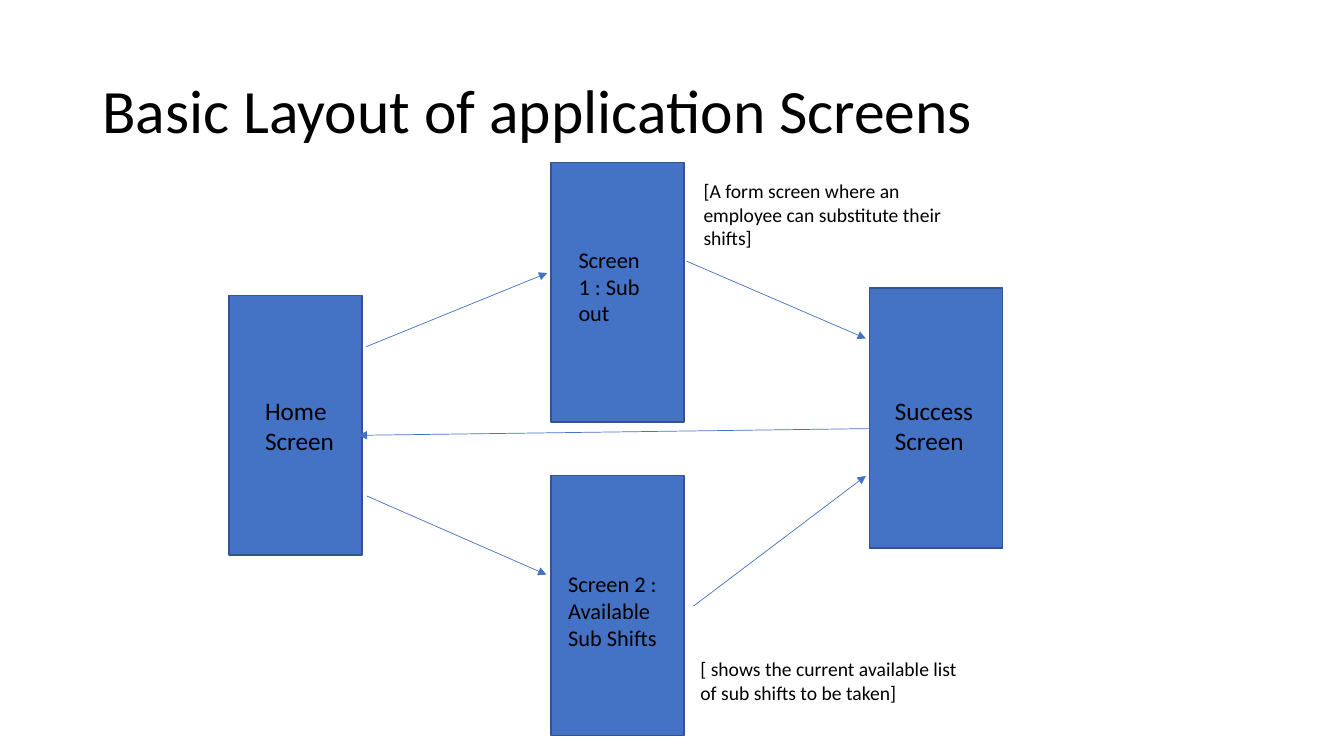
from lxml import etree
from pptx import Presentation
from pptx.dml.color import RGBColor
from pptx.enum.shapes import MSO_CONNECTOR, MSO_SHAPE
from pptx.enum.text import MSO_ANCHOR, MSO_AUTO_SIZE, PP_ALIGN
from pptx.oxml.ns import qn
from pptx.util import Cm, Pt

RECT = MSO_SHAPE.RECTANGLE
LINE = MSO_CONNECTOR.STRAIGHT
LEFT = PP_ALIGN.LEFT
MIDDLE, TOP = MSO_ANCHOR.MIDDLE, MSO_ANCHOR.TOP
GROW, FIXED = MSO_AUTO_SIZE.SHAPE_TO_FIT_TEXT, MSO_AUTO_SIZE.NONE

COLORS = {"text": "000000", "fill": "4472C4", "edge": "325491"}
FONT = "Calibri"
BOX = (3.35, 6.55)

# Box corner, label frame, label, label size
SCREENS = [
    ((5.77, 7.44), (6.43, 9.83, 2.59, 1.8), "Home Screen", 18),
    ((13.89, 11.99), (14.07, 14.25, 2.97, 2.31),
     "Screen 2 : Available Sub Shifts", 16),
    ((21.92, 7.26), (22.3, 9.83, 2.59, 1.8), "Success Screen", 18),
    ((13.89, 4.09), (14.33, 6.07, 2.69, 1.63), "Screen 1 : Sub out", 16),
]
ARROWS = [
    (9.22, 8.74, 13.79, 6.88),
    (17.3, 6.58, 21.82, 8.53),
    (21.92, 10.8, 9.04, 10.97),
    (9.25, 12.5, 13.77, 14.48),
    (17.48, 15.27, 21.82, 11.99),
]
NOTES = [
    ((17.4, 16.43, 7.01, 1.45),
     "[ shows the current available list of sub shifts to be taken]"),
    ((17.48, 4.39, 7.44, 2.06),
     "[A form screen where an employee can substitute their shifts]"),
]


def put(obj, values):
    """Set each attribute of obj named in values."""
    for name, value in values.items():
        setattr(obj, name, value)


def color(name):
    return RGBColor.from_string(COLORS[name])


class Deck:
    def __init__(self, width, height):
        self.prs = Presentation()
        put(self.prs, {"slide_width": Cm(width), "slide_height": Cm(height)})
        self.slide = self.prs.slides.add_slide(self.prs.slide_layouts[5])
        self.shapes = self.slide.shapes

    def text(self, shape, words, size, frame, para):
        """Fill a shape with one paragraph, formatted by two dicts."""
        put(shape.text_frame, {"word_wrap": True, **frame})
        line = shape.text_frame.paragraphs[0]
        put(line, {"alignment": LEFT, **para})
        run = line.add_run()
        run.text = words
        put(run.font, {"name": FONT, "size": Pt(size)})
        run.font.color.rgb = color("text")

    def title(self, words, left, top, width, height):
        shape = self.shapes.title
        put(shape, {"left": Cm(left), "top": Cm(top),
                    "width": Cm(width), "height": Cm(height)})
        self.text(shape, words, 44,
                  {"vertical_anchor": MIDDLE, "auto_size": FIXED},
                  {"line_spacing": 0.9})

    def box(self, left, top):
        shape = self.shapes.add_shape(RECT, *map(Cm, (left, top, *BOX)))
        shape.shadow.inherit = False
        shape.fill.solid()
        shape.fill.fore_color.rgb = color("fill")
        shape.line.color.rgb = color("edge")
        shape.line.width = Pt(1)

    def label(self, place, words, size):
        shape = self.shapes.add_textbox(*map(Cm, place))
        self.text(shape, words, size,
                  {"vertical_anchor": TOP, "auto_size": GROW}, {})

    def arrow(self, *ends):
        wire = self.shapes.add_connector(LINE, *map(Cm, ends))
        wire.line.color.rgb = color("fill")
        wire.line.width = Pt(0.5)
        props = wire.element.spPr
        etree.SubElement(props.find(qn("a:ln")), qn("a:tailEnd"),
                         type="triangle")
        etree.SubElement(props, qn("a:effectLst"))


def main():
    deck = Deck(33.87, 19.05)
    deck.title("Basic Layout of application Screens", 2.33, 1.02, 29.21, 3.68)
    for spot, *_ in SCREENS:
        deck.box(*spot)
    for _, place, words, size in SCREENS:
        deck.label(place, words, size)
    for ends in ARROWS:
        deck.arrow(*ends)
    for place, words in NOTES:
        deck.label(place, words, 14)
    deck.prs.save("out.pptx")


if __name__ == "__main__":
    main()
